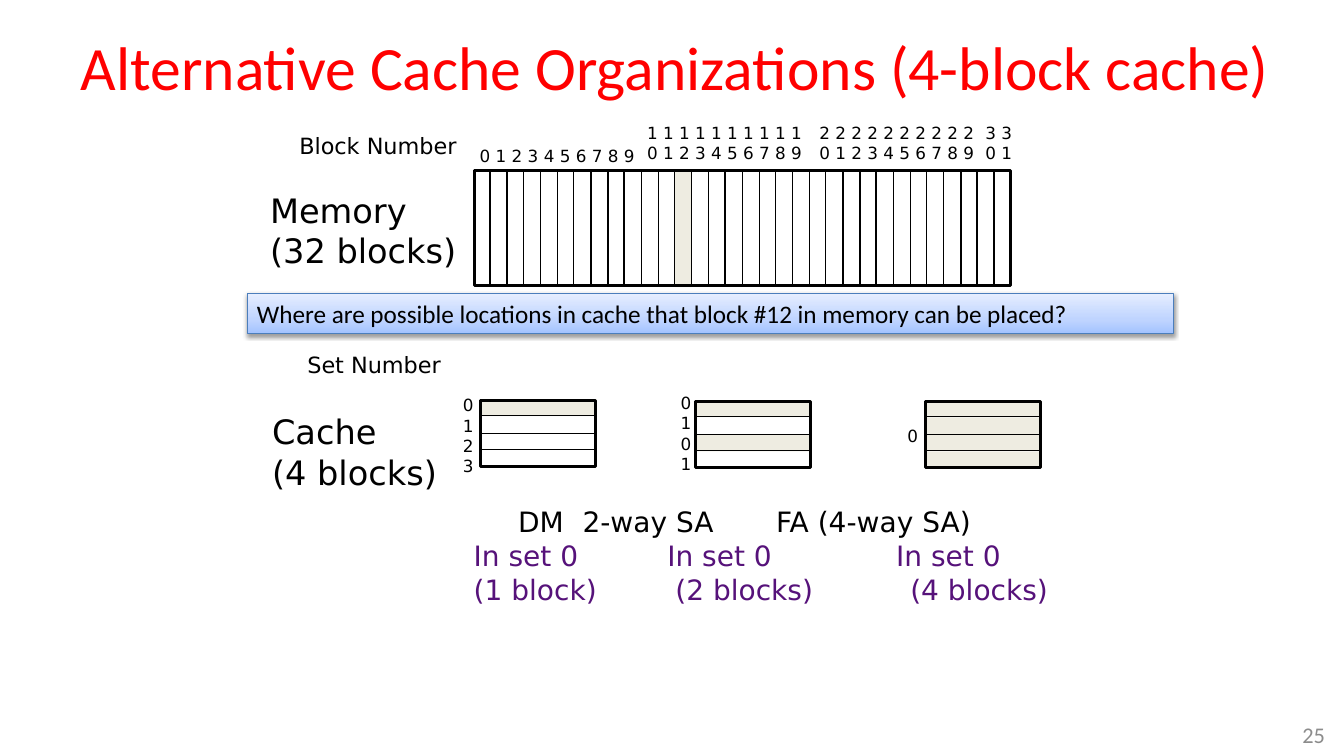
from copy import deepcopy

from lxml.etree import SubElement
from pptx import Presentation
from pptx.dml.color import RGBColor
from pptx.enum.shapes import MSO_CONNECTOR, MSO_SHAPE
from pptx.enum.text import MSO_ANCHOR, PP_ALIGN
from pptx.oxml.ns import qn
from pptx.util import Emu, Pt

PX = 9144  # 100 px to the inch
COLORS = {
    "black": "000000", "title": "FF0000", "purple": "56127A", "shade": "EEECE1",
    "number": "8C8C8C", "banner_line": "4B7EBC",
}
BANNER_STOPS = [(0, "A4C4FF"), (0.35, "BFD4FF"), (1, "E6EEFF")]
LABEL_FONT, HEADING_FONT = "DejaVu Sans", "Calibri"
BLOCKS = 32
ROW_HEIGHT = 17


def px(*lengths):
    return [Emu(length * PX) for length in lengths]


def rgb(name):
    return RGBColor.from_string(COLORS[name])


class SlideBuilder:
    def __init__(self, deck):
        self.page = deck.slides.add_slide(deck.slide_layouts[5])
        self.shapes = self.page.shapes

    def set_text(self, box, lines, size, color="black", font=LABEL_FONT,
                 align=PP_ALIGN.LEFT, anchor=MSO_ANCHOR.TOP, wrap=True, side=10, tabs=()):
        """Fill a box with lines; tabs holds the tab stops of each line."""
        frame = box.text_frame
        frame.word_wrap = wrap
        frame.vertical_anchor = anchor
        frame.margin_left, frame.margin_right = px(side, side)
        frame.margin_top, frame.margin_bottom = px(5, 5)
        frame.text = "\n".join(lines)
        for index, para in enumerate(frame.paragraphs):
            para.alignment = align
            if tabs:
                stops = SubElement(para._p.get_or_add_pPr(), qn("a:tabLst"))
                for stop in tabs[index]:
                    SubElement(stops, qn("a:tab"), pos=str(stop * PX), algn="l")
            for span in para.runs:
                span.font.size = Pt(size)
                span.font.name = font
                span.font.color.rgb = rgb(color)
        return box

    def title(self, text, area):
        box = self.shapes.title
        box.left, box.top, box.width, box.height = px(*area)
        self.set_text(box, [text], 44, "title", HEADING_FONT,
                      PP_ALIGN.CENTER, MSO_ANCHOR.MIDDLE)

    def label(self, lines, area, size, **style):
        return self.set_text(self.shapes.add_textbox(*px(*area)), lines, size, **style)

    def rectangle(self, area, fill=None, line=None, weight=2):
        box = self.shapes.add_shape(MSO_SHAPE.RECTANGLE, *px(*area))
        box.shadow.inherit = False
        if fill:
            box.fill.solid()
            box.fill.fore_color.rgb = rgb(fill)
        else:
            box.fill.background()
        if line:
            box.line.color.rgb = rgb(line)
            box.line.width = Pt(weight)
        else:
            box.line.fill.background()
        return box

    def divider(self, start, end, frame=None, sides=(0, 2)):
        """Thin line, joined to the frame when it runs through its middle."""
        line = self.shapes.add_connector(MSO_CONNECTOR.STRAIGHT, *px(*start, *end))
        line.line.color.rgb = rgb("black")
        line.line.width = Pt(1)
        SubElement(line._element.spPr, qn("a:effectLst"))
        if frame is not None:
            line.begin_connect(frame, sides[0])
            line.end_connect(frame, sides[1])

    def banner(self, text, area):
        box = self.rectangle(area, line="banner_line", weight=0.75)
        box.fill.gradient()
        box.fill.gradient_angle = 90
        stop_list = box._element.spPr.find(qn("a:gradFill")).find(qn("a:gsLst"))
        stop_list.append(deepcopy(stop_list[-1]))
        for stop, (position, color) in zip(box.fill.gradient_stops, BANNER_STOPS):
            stop.position = position
            stop.color.rgb = RGBColor.from_string(color)
        effects = box._element.spPr.find(qn("a:effectLst"))
        shadow = SubElement(effects, qn("a:outerShdw"), blurRad="40000",
                            dist="20000", dir="5400000", rotWithShape="0")
        tint = SubElement(shadow, qn("a:srgbClr"), val=COLORS["black"])
        SubElement(tint, qn("a:alpha"), val="38000")
        self.set_text(box, [text], 18, font=HEADING_FONT, anchor=MSO_ANCHOR.MIDDLE)

    def memory(self, left, top, width, height, marked):
        first, pitch = left + 15, 50 / 3
        marked_left = round(first + (marked - 1) * pitch)
        self.rectangle((marked_left, top - 1, 17, height + 3), fill="shade")
        frame = self.rectangle((left, top, width, height), line="black")
        for index in range(BLOCKS - 1):
            x = round(first + index * pitch)
            middle = frame if index == BLOCKS // 2 - 1 else None
            self.divider((x, top - 1), (x, top + height + 1), middle)

    def cache(self, left, top, shaded_rows):
        for row in shaded_rows:
            self.rectangle((left, top - 1 + row * ROW_HEIGHT, 115, ROW_HEIGHT), fill="shade")
        frame = self.rectangle((left, top, 114, 66), line="black")
        for row in range(3):
            y = top + 15 + row * ROW_HEIGHT
            middle = frame if row == 1 else None
            self.divider((left + 115, y), (left, y), middle, sides=(3, 1))


def main():
    deck = Presentation()
    deck.slide_width, deck.slide_height = px(1333, 750)
    slide = SlideBuilder(deck)
    slide.title("Alternative Cache Organizations (4-block cache)", (70, 3, 1200, 125))

    # Memory with its block numbers
    slide.label(["Block Number"], (287, 126, 178, 37), 16, wrap=False)
    slide.label(["Memory", "(32 blocks)"], (258, 183, 211, 91), 24, wrap=False)
    slide.memory(471, 169, 531, 114, marked=12)
    digits = " ".join(str(digit) for digit in range(10))
    slide.label([digits], (466, 140, 187, 30), 12)
    for tens, left, align in (("1", 632, PP_ALIGN.LEFT), ("2", 796, PP_ALIGN.CENTER)):
        slide.label([" ".join(tens * 10) + " " + digits], (left, 117, 187, 50), 12, align=align)
    slide.label(["3 3", "0 1"], (946, 117, 89, 50), 12, align=PP_ALIGN.CENTER)

    # Question
    slide.banner("Where are possible locations in cache that block #12 in memory can be placed?",
                 (245, 291, 919, 40))

    # Three caches with their set numbers
    slide.label(["Set Number"], (295, 343, 155, 37), 16, wrap=False)
    slide.label(["Cache", "(4 blocks)"], (260, 403, 190, 91), 24, wrap=False)
    for left, top, shaded_rows in ((477, 397, [0]), (690, 398, [0, 2]), (918, 398, range(4))):
        slide.cache(left, top, shaded_rows)
    for numbers, left, top, height in (("0 1 2 3", 454, 387, 91),
                                       ("0 1 0 1", 670, 385, 91),
                                       ("0", 895, 417, 30)):
        slide.label([numbers], (left, top, 30, height), 12, side=5)

    # Placement in each cache
    captions = slide.label(
        ["\tDM\t2-way SA\tFA (4-way SA)", "In set 0\tIn set 0\tIn set 0",
         "(1 block)\t(2 blocks)\t(4 blocks)"],
        (460, 496, 627, 144), 20, color="purple",
        tabs=[(44, 108, 300), (192, 419), (200, 433)])
    for span in captions.text_frame.paragraphs[0].runs:
        span.font.color.rgb = rgb("black")

    # Page number
    slide.label(["25"], (1257, 708, 67, 42), 16, color="number", font=HEADING_FONT,
                align=PP_ALIGN.RIGHT, anchor=MSO_ANCHOR.MIDDLE)
    deck.save("out.pptx")


if __name__ == "__main__":
    main()
